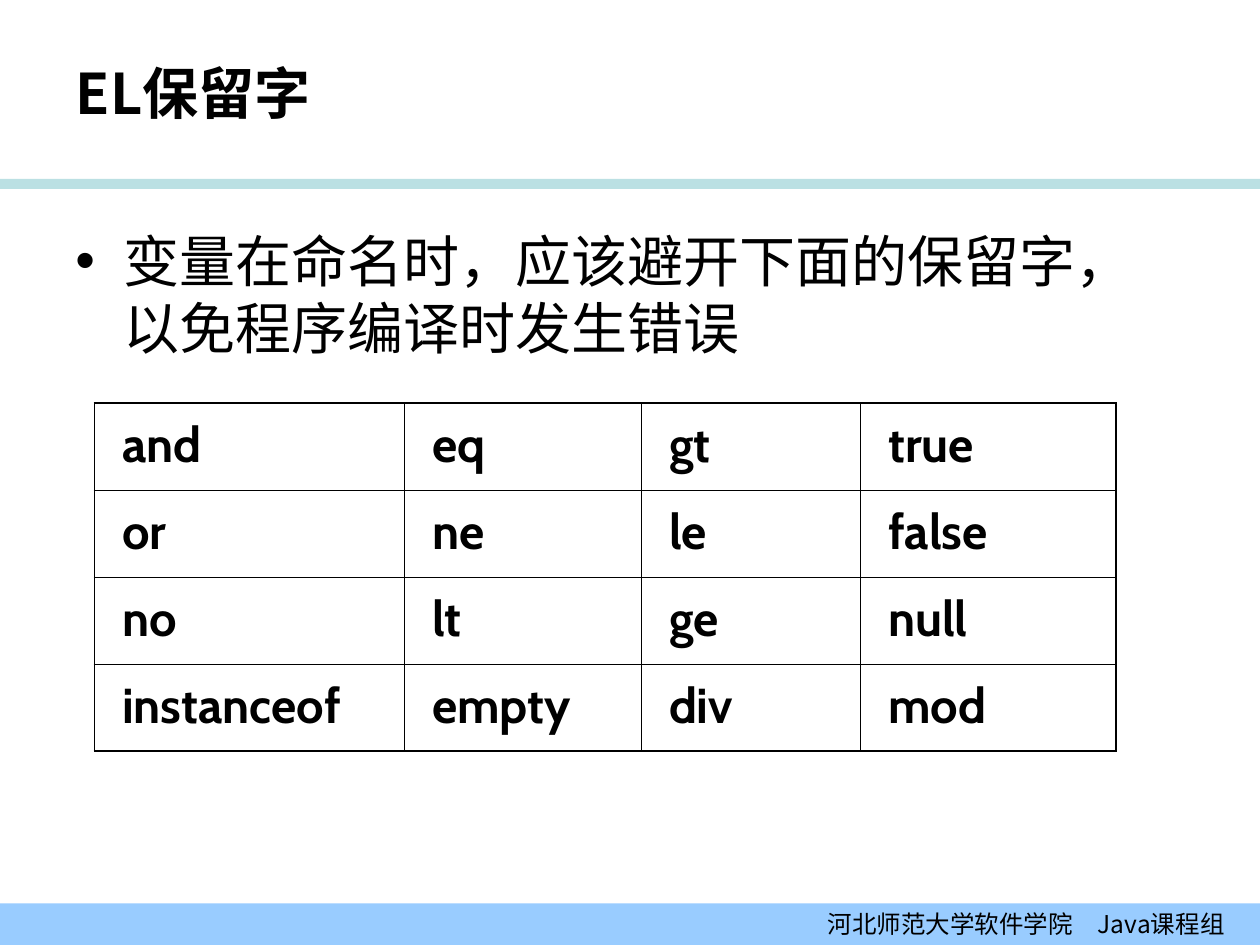
from lxml.etree import SubElement
from pptx import Presentation
from pptx.dml.color import RGBColor
from pptx.enum.shapes import MSO_SHAPE
from pptx.enum.text import MSO_ANCHOR, PP_ALIGN
from pptx.oxml.ns import qn
from pptx.util import Inches, Pt

TITLE = "EL保留字"
BODY = "变量在命名时，应该避开下面的保留字，以免程序编译时发生错误"
FOOTER = "河北师范大学软件学院\u3000Java课程组"
WORDS = [
    ["and", "eq", "gt", "true"],
    ["or", "ne", "le", "false"],
    ["no", "lt", "ge", "null"],
    ["instanceof", "empty", "div", "mod"],
]
COL_WIDTHS = [2.46, 1.88, 1.74, 2.03]
ROW_HEIGHT = 0.69
OUTER, INNER = 1.08, 0.45
CJK, LATIN = "Noto Sans CJK SC", "Cabin"


def rgb(value):
    return RGBColor.from_string(value)


def put_text(tf, text, size=32, font=CJK, bold=False, align=PP_ALIGN.LEFT,
             anchor=MSO_ANCHOR.TOP, indent=0, hanging=0, bullet=None, spacing=None):
    tf.word_wrap = True
    tf.vertical_anchor = anchor
    p = tf.paragraphs[0]
    p.alignment = align
    p.space_before = Pt(0)
    if spacing:
        p.line_spacing = spacing
    pPr = p._p.get_or_add_pPr()
    pPr.set("marL", str(Inches(indent)))
    pPr.set("indent", str(Inches(-hanging)))
    if bullet:
        SubElement(pPr, qn("a:buFont"), typeface="Arial")
        SubElement(pPr, qn("a:buChar"), char=bullet)
    r = p.add_run()
    r.text = text
    r.font.size = Pt(size)
    r.font.bold = bold
    r.font.color.rgb = rgb("000000")
    r.font.name = font
    SubElement(r._r.get_or_add_rPr(), qn("a:ea"), typeface=font)


def add_band(s, top, height, color):
    sp = s.shapes.add_shape(MSO_SHAPE.RECTANGLE, 0, Inches(top), Inches(10), Inches(height))
    sp.shadow.inherit = False
    sp.fill.solid()
    sp.fill.fore_color.rgb = rgb(color)
    sp.line.fill.background()
    return sp


def set_borders(cell, widths):
    tcPr = cell._tc.get_or_add_tcPr()
    for i, (side, width) in enumerate(widths.items()):
        ln = SubElement(tcPr, qn(f"a:ln{side}"), w=str(Pt(width)))
        fill = SubElement(ln, qn("a:solidFill"))
        SubElement(fill, qn("a:srgbClr"), val="000000")
        tcPr.insert(i, ln)


def add_words(s):
    rows, cols = len(WORDS), len(COL_WIDTHS)
    table = s.shapes.add_table(rows, cols, Inches(0.75), Inches(3.2),
                               Inches(sum(COL_WIDTHS)), Inches(rows * ROW_HEIGHT)).table
    table.first_row = table.horz_banding = False
    for column, width in zip(table.columns, COL_WIDTHS):
        column.width = Inches(width)
    for i, words in enumerate(WORDS):
        table.rows[i].height = Inches(ROW_HEIGHT)
        for j, word in enumerate(words):
            cell = table.cell(i, j)
            cell.fill.background()
            put_text(cell.text_frame, word, size=28, font=LATIN, bold=True,
                     indent=0.12, spacing=1.1)
            edges = {"L": j == 0, "R": j == cols - 1, "T": i == 0, "B": i == rows - 1}
            set_borders(cell, {k: OUTER if edge else INNER for k, edge in edges.items()})


def main():
    prs = Presentation()
    prs.slide_width, prs.slide_height = Inches(10), Inches(7.5)
    s = prs.slides.add_slide(prs.slide_layouts[5])

    add_band(s, 1.42, 0.08, "BBE0E3")
    footer = add_band(s, 7.17, 0.33, "99CCFF").text_frame
    footer.margin_right = Inches(0.28)
    put_text(footer, FOOTER, size=14, align=PP_ALIGN.RIGHT, anchor=MSO_ANCHOR.MIDDLE)

    title = s.shapes.title
    title.left, title.top, title.width, title.height = map(Inches, (0.5, 0.3, 8, 0.87))
    put_text(title.text_frame, TITLE, bold=True, anchor=MSO_ANCHOR.MIDDLE)

    body = s.shapes.add_textbox(*map(Inches, (0.5, 1.75, 9, 4.95)))
    put_text(body.text_frame, BODY, indent=0.38, hanging=0.38, bullet="•")

    add_words(s)
    prs.save("out.pptx")


if __name__ == "__main__":
    main()
